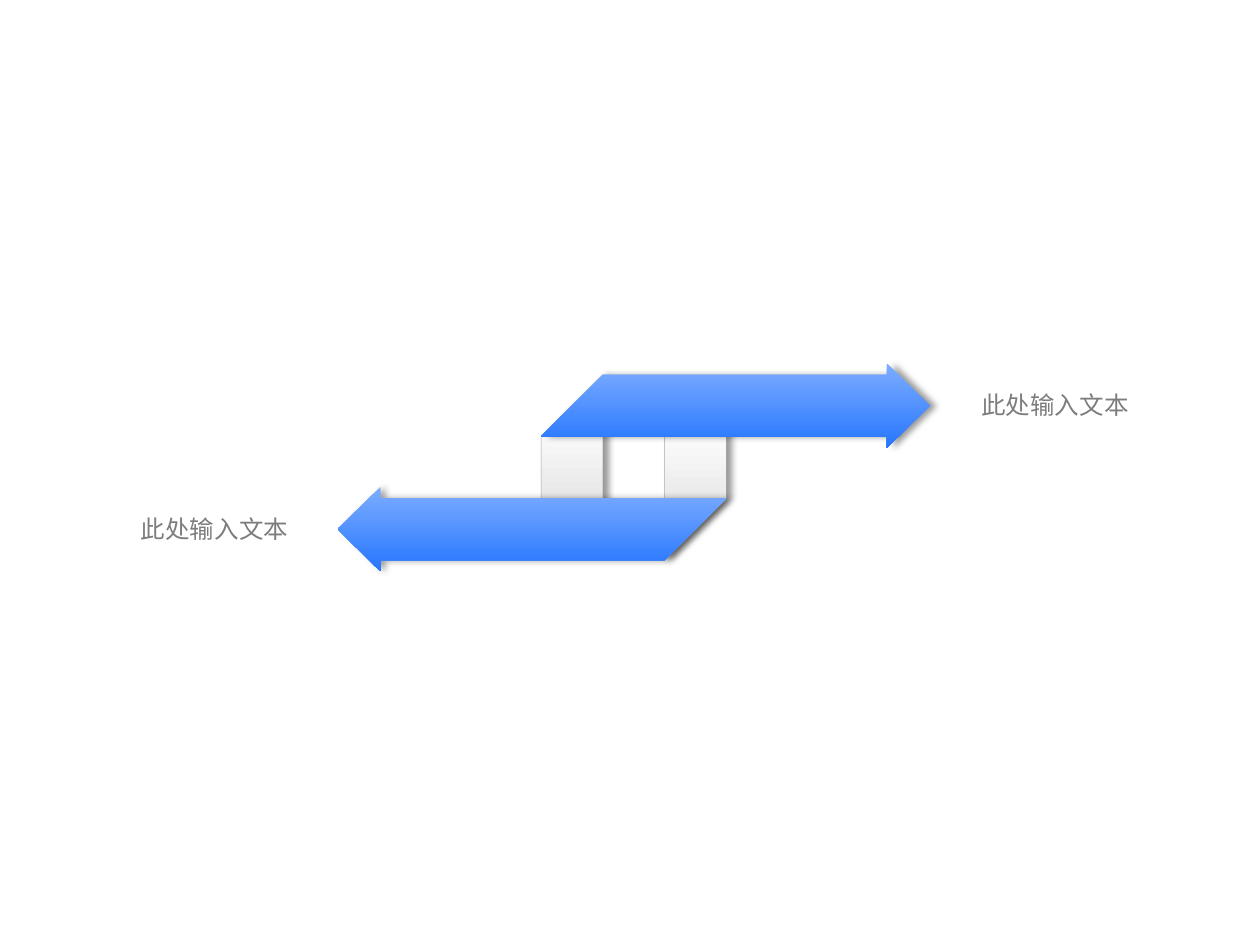
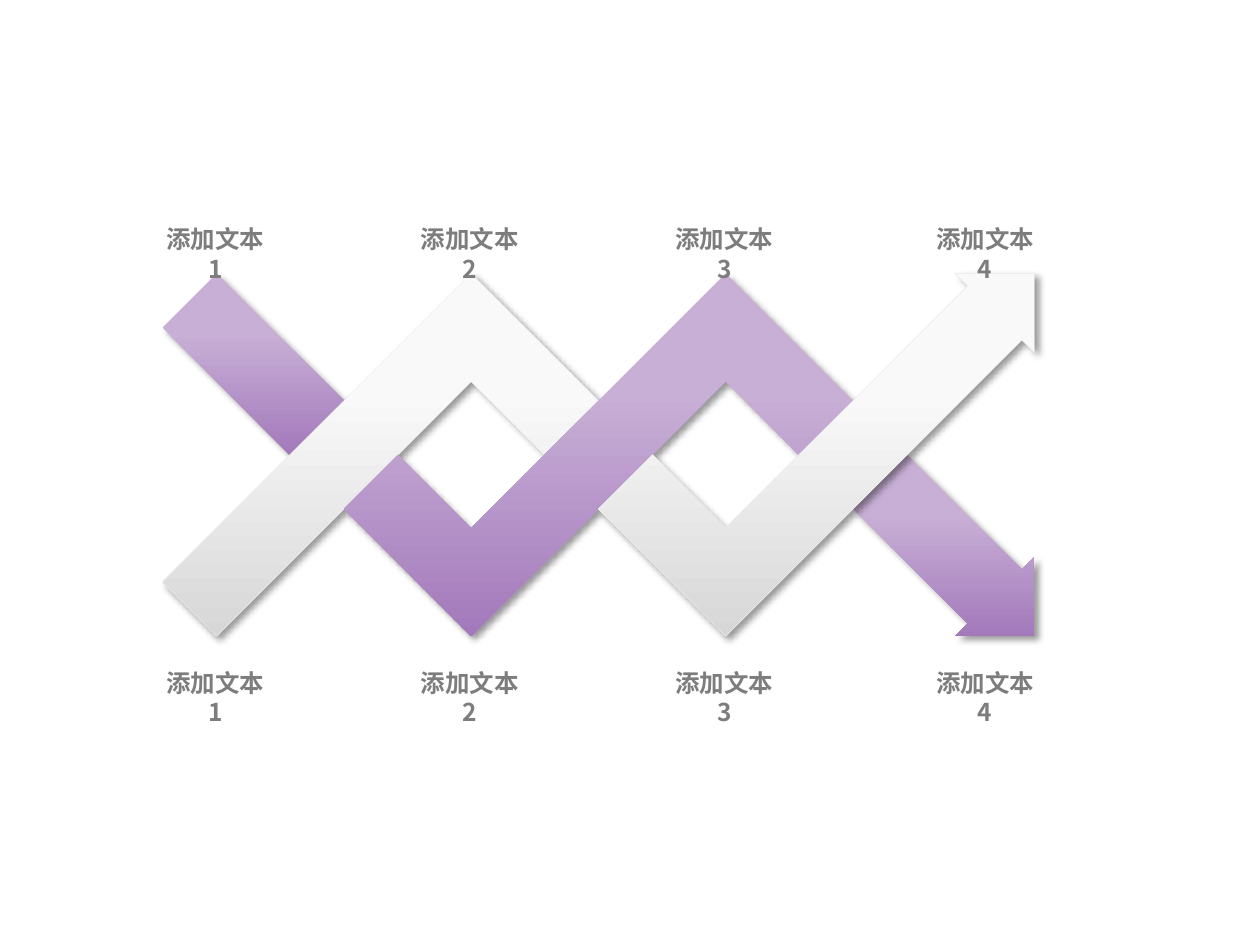
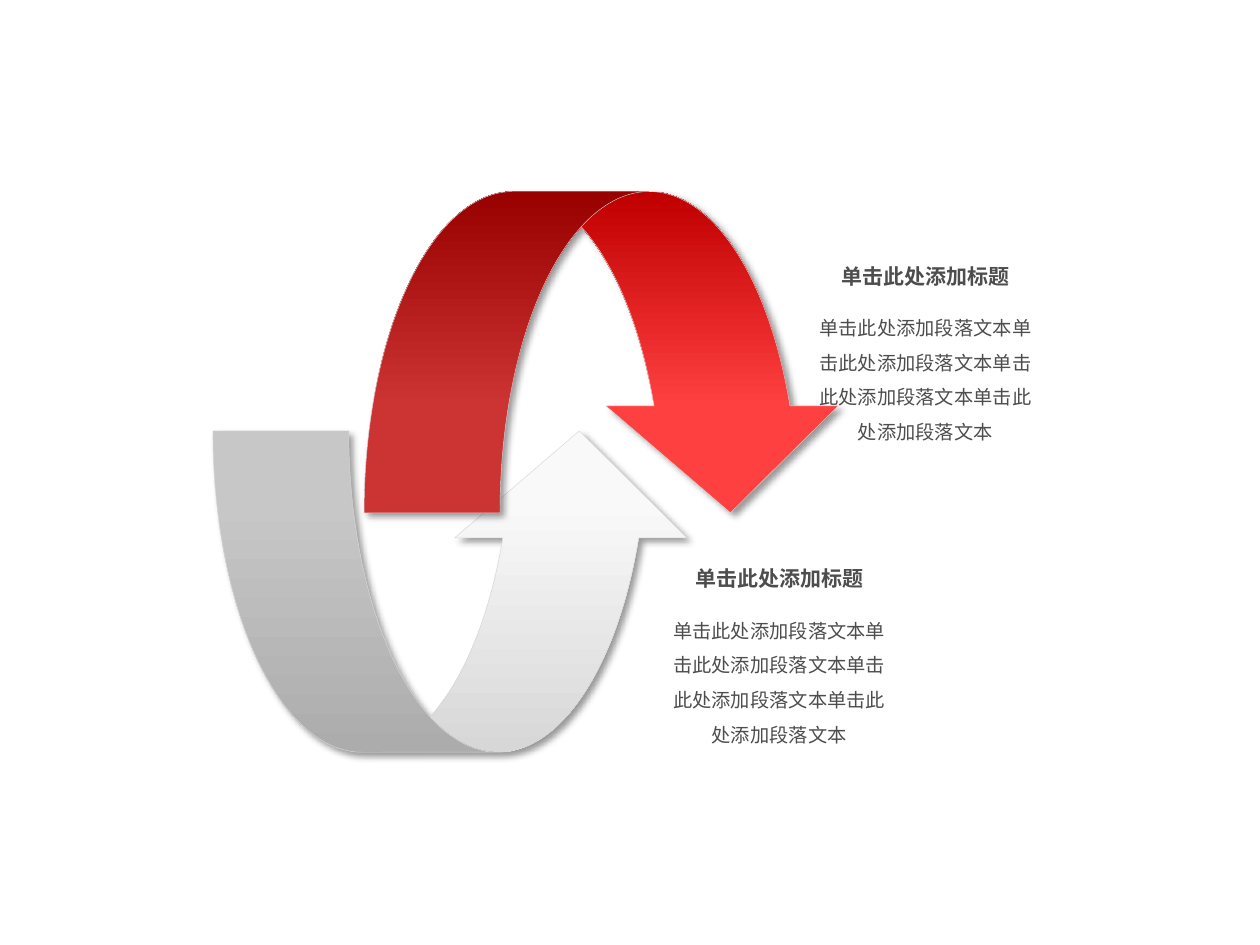
"""Three arrow diagrams: interlocked links, woven zigzags and curved loops."""
from dataclasses import dataclass

from lxml import etree
from pptx import Presentation
from pptx.dml.color import RGBColor
from pptx.enum.shapes import MSO_SHAPE
from pptx.enum.text import PP_ALIGN
from pptx.oxml import parse_xml
from pptx.oxml.ns import nsdecls
from pptx.util import Emu, Inches, Pt

CURVED_ARROW = MSO_SHAPE.CURVED_UP_ARROW
LEFT, CENTER = PP_ALIGN.LEFT, PP_ALIGN.CENTER
BLANK_LAYOUT = 6


@dataclass(frozen=True)
class Theme:
    """Colours, gradients and type sizes shared by the slides."""
    font: str = "Noto Sans CJK SC"
    label_color: str = "7D7D7D"
    body_color: str = "4D4D4D"
    label_size: int = 14
    heading_size: int = 12
    body_size: int = 11
    blue: tuple = ((0, "7DADFF"), (1, "2676FF"))
    purple: tuple = ((0.33, "C8AFD6"), (1, "A379BB"))
    silver: tuple = ((0.33, "F9F9F9"), (1, "D7D7D7"))
    loop_silver: tuple = ((0.22, "F9F9F9"), (1, "D7D7D7"))
    red: tuple = ((0.33, "FF4040"), (1, "C00000"))
    link_edge: str = "A9A9A9"
    weave_edge: str = "EAEAEA"
    loop_edge: str = "D7D7D7"


THEME = Theme()


def style(shape, gradient, edge=None, shadow_angle=45):
    """Give a shape its vertical gradient, thin outline and soft shadow."""
    shape.fill.gradient()
    shape.fill.gradient_angle = 270
    for stop, (position, color) in zip(shape.fill.gradient_stops, gradient):
        stop.position = position
        stop.color.rgb = RGBColor.from_string(color)
    if edge:
        shape.line.color.rgb = RGBColor.from_string(edge)
        shape.line.width = Pt(0.25)
    else:
        shape.line.fill.background()
    shape.shadow.inherit = False
    effects = shape._element.spPr.find("{*}effectLst")
    effects.append(parse_xml(
        f'<a:outerShdw {nsdecls("a")} blurRad="{Pt(4)}" dist="{Pt(3)}" '
        f'dir="{shadow_angle * 60000}" algn="ctr" rotWithShape="0">'
        '<a:srgbClr val="000000"><a:alpha val="40000"/></a:srgbClr></a:outerShdw>'))


def outline(slide, points, gradient, **look):
    """Draw a closed polygon through points given in inches."""
    start, *rest = [(Inches(x), Inches(y)) for x, y in points]
    builder = slide.shapes.build_freeform(*start, scale=1.0)
    builder.add_line_segments(rest, close=True)
    style(builder.convert_to_shape(Emu(0), Emu(0)), gradient, **look)


def write(slide, text, box, size, color, bold=False, align=CENTER,
          wrap=True, spacing=None, right_inset=0.1):
    """Add one paragraph of text in a box given in inches."""
    frame = slide.shapes.add_textbox(*map(Inches, box)).text_frame
    frame.word_wrap = wrap
    frame.margin_right = Inches(right_inset)
    paragraph = frame.paragraphs[0]
    paragraph.alignment = align
    if spacing:
        paragraph.line_spacing = spacing
    run = paragraph.add_run()
    run.text = text
    run.font.size = Pt(size)
    run.font.bold = bold
    run.font.name = THEME.font
    run.font.color.rgb = RGBColor.from_string(color)
    east_asian = etree.SubElement(
        run.font._element, "{http://schemas.openxmlformats.org/drawingml/2006/main}ea")
    east_asian.set("typeface", THEME.font)


def links_slide(slide):
    """Two folded arrows, each the other turned half a circle."""
    center_x, center_y, band = 5.03, 3.71, 0.49
    left, top = center_x - 1.5 * band, center_y - 1.5 * band
    fold, neck, tip, flare = left + band, 7.04, 7.38, 0.09
    strip = [(fold, top), (fold, top + 1.4), (left, top + 1.4), (left, top + band)]
    arrow = [(neck, top - flare), (tip, top + band / 2), (neck, top + band + flare),
             (neck, top + band), (left, top + band), (fold, top), (neck, top)]

    def turned(points):
        """Turn points half a circle about the centre."""
        return [(2 * center_x - x, 2 * center_y - y) for x, y in points]

    for points in (strip, turned(strip)):
        outline(slide, points, THEME.silver, edge=THEME.link_edge, shadow_angle=0)
    for points in (arrow, turned(arrow)):
        outline(slide, points, THEME.blue, shadow_angle=0)
    for label_left, label_top in ((7.69, 3.05), (1.02, 4.03)):
        write(slide, "此处输入文本", (label_left, label_top, 1.38, 0.34),
              THEME.label_size, THEME.label_color, align=LEFT, wrap=False)


def weave_slide(slide):
    """Two zigzag arrows woven over and under at three crossings."""
    cross_x, cross_y = 2.73, 3.61
    step, half = 1.01, 0.43
    outer, inner = step + half, step - half
    end, head, notch = 4 * step + outer, 0.63, 0.1
    head_up = [(end - head + notch, notch - outer), (end - head, -outer),
               (end, -outer), (end, head - outer), (end - notch, head - notch - outer)]
    head_down = [(x, -y) for x, y in head_up]
    purple_start = [(0, -half), (-step, -outer), (-outer, -step), (-half, 0)]
    purple_end = [(4 * step, half), *head_down, (4 * step + half, 0)]
    silver_start = [(-outer, step), (step, -outer), (2 * step, -half),
                    (2 * step - half, 0), (step, -inner), (-step, outer)]
    purple_middle = [(half, 0), (step, inner), (3 * step, -outer), (4 * step, -half),
                     (4 * step - half, 0), (3 * step, -inner), (step, outer), (0, half)]
    silver_end = [(2 * step, half), (2 * step + half, 0), (3 * step, inner),
                  *head_up, (3 * step, outer)]
    for points, gradient, edge in (
            (purple_start, THEME.purple, None),
            (purple_end, THEME.purple, None),
            (silver_start, THEME.silver, THEME.weave_edge),
            (purple_middle, THEME.purple, None),
            (silver_end, THEME.silver, THEME.weave_edge)):
        outline(slide, [(cross_x + x, cross_y + y) for x, y in points],
                gradient, edge=edge)
    label_lefts = [cross_x + turn * step - 0.53 for turn in (-1, 1, 3)]
    label_lefts.append(cross_x + end - 0.91)
    for label_top in (1.73, 5.25):
        for number, label_left in enumerate(label_lefts, 1):
            write(slide, f"添加文本{number}", (label_left, label_top, 1.11, 0.34),
                  THEME.label_size, THEME.label_color, bold=True, right_inset=0.17)


def loop(slide, left, top, gradient, flipped=False):
    """Draw one curved arrow, upside down when flipped."""
    arrow = slide.shapes.add_shape(CURVED_ARROW, *map(Inches, (left, top, 3.83, 2.55)))
    for index, value in enumerate((0.423, 0.723, 0.333)):
        arrow.adjustments[index] = value
    if flipped:
        arrow._element.spPr.xfrm.set("flipV", "1")
    style(arrow, gradient, edge=THEME.loop_edge)


def caption(slide, left, top):
    """Write a heading with its paragraph below."""
    write(slide, "单击此处添加段落文本" * 4, (left, top + 0.33, 1.93, 1.21),
          THEME.body_size, THEME.body_color, spacing=1.5)
    write(slide, "单击此处添加标题", (left, top, 1.93, 0.31),
          THEME.heading_size, THEME.body_color, bold=True)


def loops_slide(slide):
    """Two curved arrows that circle each other, with captions."""
    loop(slide, 1.69, 3.42, THEME.loop_silver)
    caption(slide, 5.22, 4.44)
    loop(slide, 2.89, 1.52, THEME.red, flipped=True)
    caption(slide, 6.38, 2.04)


def main():
    """Build and save the deck."""
    deck = Presentation()
    deck.slide_width, deck.slide_height = Inches(10), Inches(7.5)
    for build in (links_slide, weave_slide, loops_slide):
        build(deck.slides.add_slide(deck.slide_layouts[BLANK_LAYOUT]))
    deck.save("out.pptx")


if __name__ == "__main__":
    main()
